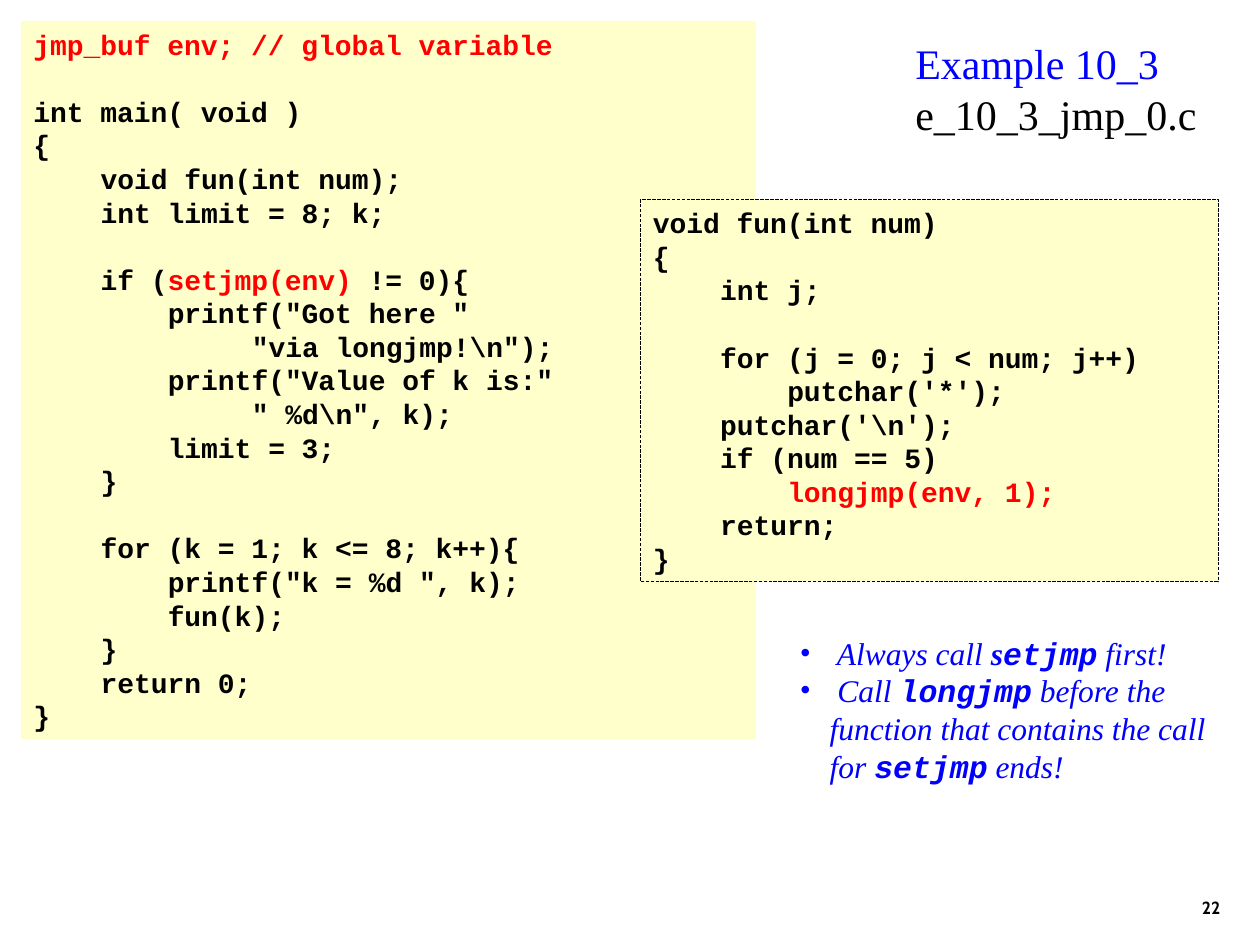
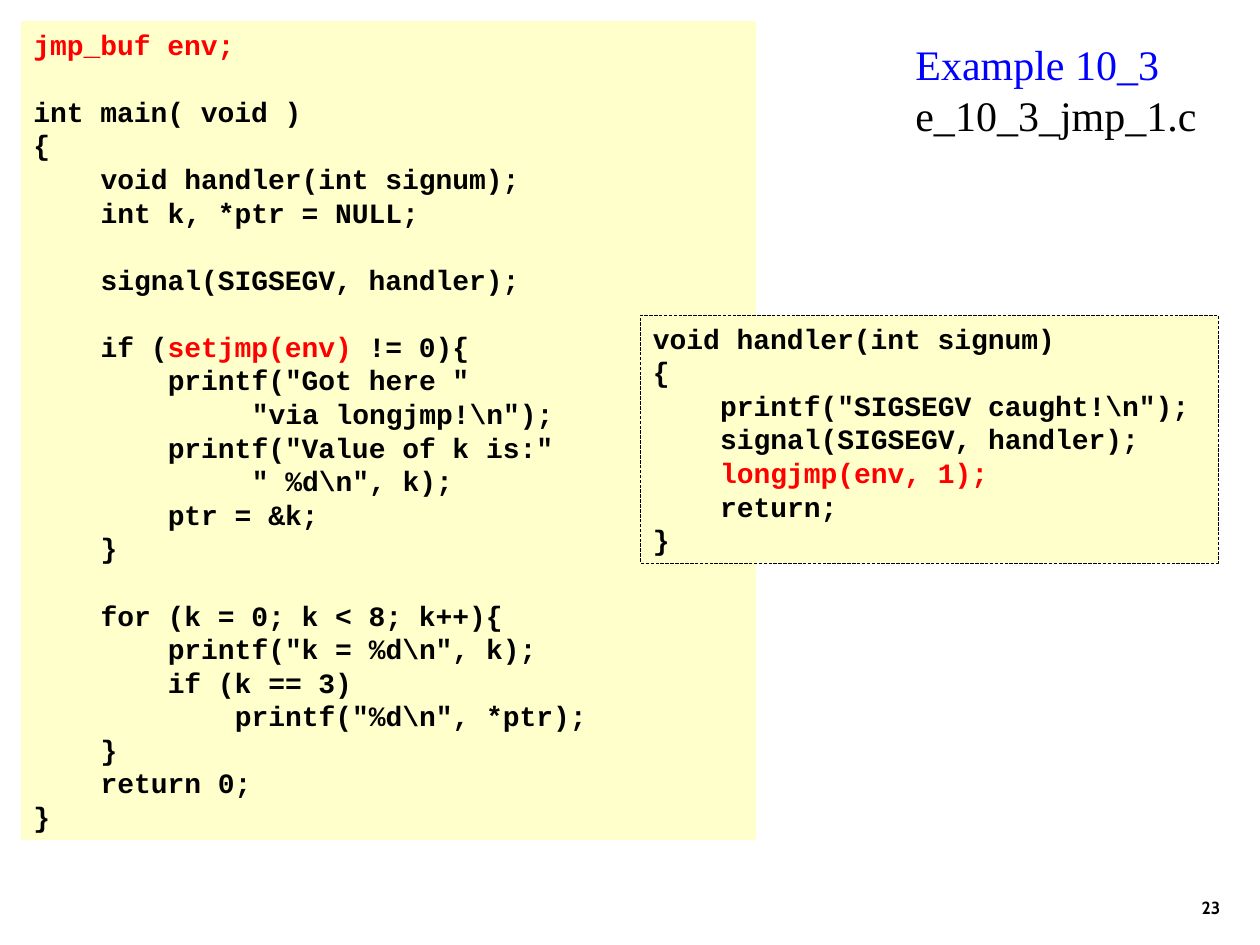
from dataclasses import dataclass
from typing import NamedTuple, Optional

from lxml.etree import SubElement
from pptx import Presentation
from pptx.dml.color import RGBColor as RGB
from pptx.enum.dml import MSO_LINE as Dash
from pptx.enum.shapes import MSO_SHAPE as Form
from pptx.enum.text import MSO_ANCHOR as Anchor, PP_ALIGN as Align
from pptx.oxml.ns import qn
from pptx.util import Emu, Inches, Pt

# Shared look
HUES = {"paper": "FFFFFF", "cream": "FFFFCC", "ink": "000000",
        "red": "FF0000", "blue": "0000FF"}
MONO, SERIF, SANS = "Courier New", "Times New Roman", "Cabin"
WIDE, HIGH = Inches(10), Inches(7.5)
COLS, ROWS = 120, 90
LEAD = 1.2          # line height as a share of the text size
CODE = 16           # code size in points
CHAR = 0.6 * CODE   # width of one code letter in points
PAD = 7.2           # top and bottom margins of a box in points
MARK = "~"          # encloses the highlighted part of a code line


class Style(NamedTuple):
    font: str
    size: int
    hue: str = "ink"
    bold: bool = False
    slant: bool = False


class Cell(NamedTuple):
    col: float
    row: float
    wide: float
    high: float


PLAIN = Style(MONO, CODE, bold=True)
HOT = PLAIN._replace(hue="red")
HEAD = Style(SERIF, 24, "blue")
FILE = HEAD._replace(hue="ink")
NOTE = Style(SERIF, 18, "blue", slant=True)
BOLD = NOTE._replace(bold=True)
TERM = BOLD._replace(font=MONO)
PAGE = Style(SANS, 10, bold=True)

Part = tuple[str, Style]


@dataclass
class Page:
    num: int
    file: str
    main: str
    func: str
    row: float          # grid row where the function box starts
    top: float = 3      # grid row where the title starts
    span: float = 31    # title width in columns
    notes: tuple[tuple[Part, ...], ...] = ()


# Content
PAGES = [
    Page(22, "e_10_3_jmp_0.c", r"""
~jmp_buf env; // global variable~

int main( void )
{
    void fun(int num);
    int limit = 8; k;

    if (~setjmp(env)~ != 0){
        printf("Got here "
             "via longjmp!\n");
        printf("Value of k is:"
             " %d\n", k);
        limit = 3;
    }

    for (k = 1; k <= 8; k++){
        printf("k = %d ", k);
        fun(k);
    }
    return 0;
}
""", r"""
void fun(int num)
{
    int j;

    for (j = 0; j < num; j++)
        putchar('*');
    putchar('\n');
    if (num == 5)
        ~longjmp(env, 1);~
    return;
}
""", row=19, notes=(
        ((" Always call ", NOTE), ("s", BOLD), ("etjmp", TERM),
         (" first!", NOTE)),
        ((" Call ", NOTE), ("longjmp", TERM),
         (" before the function that contains the call for ", NOTE),
         ("setjmp", TERM), (" ends!", NOTE)))),
    Page(23, "e_10_3_jmp_1.c", r"""
~jmp_buf env;~

int main( void )
{
    void handler(int signum);
    int k, *ptr = NULL;

    signal(SIGSEGV, handler);

    if (~setjmp(env)~ != 0){
        printf("Got here "
             "via longjmp!\n");
        printf("Value of k is:"
             " %d\n", k);
        ptr = &k;
    }

    for (k = 0; k < 8; k++){
        printf("k = %d\n", k);
        if (k == 3)
            printf("%d\n", *ptr);
    }
    return 0;
}
""", r"""
void handler(int signum)
{
    printf("SIGSEGV caught!\n");
    signal(SIGSEGV, handler);
    ~longjmp(env, 1);~
    return;
}
""", row=30, top=3.1, span=32),
]


# Drawing
def tint(name: str) -> RGB:
    return RGB.from_string(HUES[name])


def place(slide, cell: Cell, fill: Optional[str] = None, edge: bool = False):
    """Add a box on the grid and return its text frame."""
    x, w = (Emu(round(n * WIDE / COLS)) for n in (cell.col, cell.wide))
    y, h = (Emu(round(n * HIGH / ROWS)) for n in (cell.row, cell.high))
    if fill:
        box = slide.shapes.add_shape(Form.RECTANGLE, x, y, w, h)
        box.shadow.inherit = False
        box.fill.solid()
        box.fill.fore_color.rgb = tint(fill)
        if edge:
            box.line.color.rgb = tint("ink")
            box.line.width = Pt(0.25)
            box.line.dash_style = Dash.LONG_DASH
        else:
            box.line.fill.background()
    else:
        box = slide.shapes.add_textbox(x, y, w, h)
    frame = box.text_frame
    frame.word_wrap = True
    frame.vertical_anchor = Anchor.TOP
    return frame


def write(frame, parts: tuple[Part, ...], first: bool):
    """Write one paragraph, run by run."""
    para = frame.paragraphs[0] if first else frame.add_paragraph()
    para.alignment = Align.LEFT
    para.line_spacing = Pt(LEAD * parts[0][1].size)
    for text, style in parts:
        run = para.add_run()
        run.text = text
        font = run.font
        font.name, font.size = style.font, Pt(style.size)
        font.bold, font.italic = style.bold, style.slant
        font.color.rgb = tint(style.hue)
    return para


def indent(para, left: float, hang: float = 0):
    props = para._p.get_or_add_pPr()
    props.set("marL", str(Pt(left)))
    props.set("indent", str(-Pt(hang)))
    return props


def code(slide, text: str, col: float, row: float, wide: float,
         edge: bool = False) -> None:
    """Draw a listing in a box as high as its lines."""
    lines = text.strip().splitlines()
    step = LEAD * CODE
    high = (len(lines) * step + PAD) * ROWS / HIGH.pt
    frame = place(slide, Cell(col, row, wide, high), "cream", edge)
    gap = 0
    for i, line in enumerate(lines):
        body = line.lstrip()
        if not body:
            gap += step
            continue
        bits = enumerate(body.split(MARK))
        parts = tuple((bit, HOT if n % 2 else PLAIN) for n, bit in bits if bit)
        para = write(frame, parts, i == 0)
        indent(para, (len(line) - len(body)) * CHAR)
        para.space_before = Pt(gap)
        gap = 0


def title(slide, page: Page) -> None:
    frame = place(slide, Cell(86, page.top, page.span, 15.6), "paper")
    write(frame, (("Example 10_3", HEAD),), True)
    write(frame, ((page.file, FILE),), False)


def bullets(slide, notes: tuple[tuple[Part, ...], ...]) -> None:
    frame = place(slide, Cell(75, 59.75, 42, 19.2))
    for i, parts in enumerate(notes):
        props = indent(write(frame, parts, i == 0), 17, 17)
        dye = SubElement(props, qn("a:buClr"))
        SubElement(dye, qn("a:srgbClr"), val=HUES["blue"])
        SubElement(props, qn("a:buFont"), typeface=SERIF)
        SubElement(props, qn("a:buChar"), char="•")


def footer(slide, num: int) -> None:
    frame = place(slide, Cell(92.4, 82, 25, 6))
    frame.vertical_anchor = Anchor.BOTTOM
    write(frame, ((str(num), PAGE),), True).alignment = Align.RIGHT


def main() -> None:
    deck = Presentation()
    deck.slide_width, deck.slide_height = WIDE, HIGH
    for page in PAGES:
        slide = deck.slides.add_slide(deck.slide_layouts[6])
        footer(slide, page.num)
        code(slide, page.main, 2, 2, 70)
        title(slide, page)
        code(slide, page.func, 61, page.row, 55, edge=True)
        if page.notes:
            bullets(slide, page.notes)
    deck.save("out.pptx")


if __name__ == "__main__":
    main()
